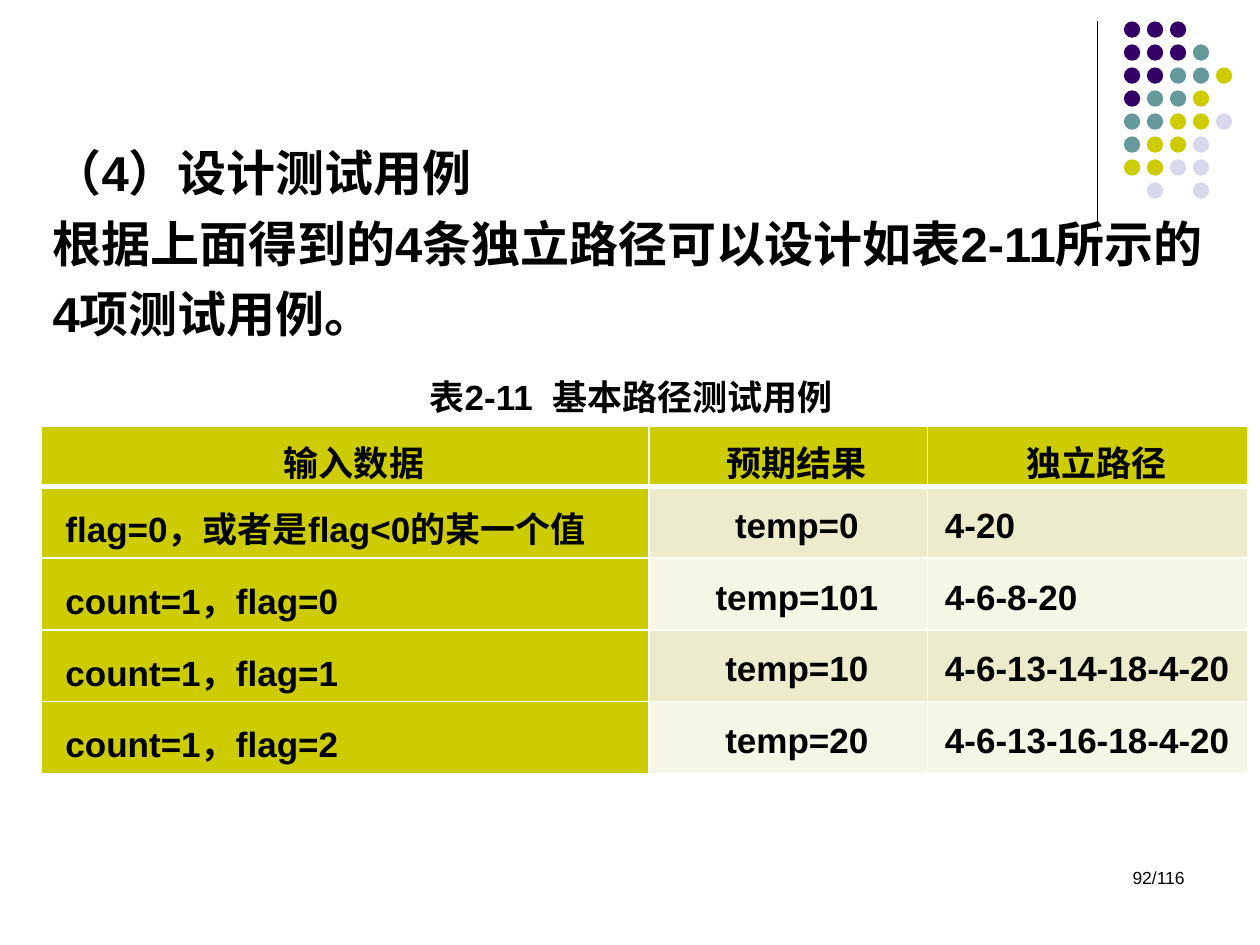
from lxml.etree import SubElement
from pptx import Presentation
from pptx.dml.color import RGBColor
from pptx.enum.shapes import MSO_CONNECTOR, MSO_SHAPE
from pptx.enum.text import MSO_ANCHOR, PP_ALIGN
from pptx.oxml.ns import qn
from pptx.util import Inches, Pt

FONT = "Arial"
BLACK, WHITE, OLIVE = "000000", "FFFFFF", "CCCC00"
BANDS = ["ECECCC", "F6F6E7"]
DOT_COLOURS = {"P": "330066", "T": "669999", "Y": OLIVE, "L": "D8D8EC"}
DOT_ROWS = ["PPP", "PPPT", "PPTTY", "PTTY", "TTYYL", "TYYL", "YYLL", ".L.L"]

INTRO = [
    "（4）设计测试用例",
    "根据上面得到的4条独立路径可以设计如表2-11所示的4项测试用例。",
]
CAPTION = "表2-11  基本路径测试用例"
TEST_CASES = [
    ["输入数据", "预期结果", "独立路径"],
    ["flag=0，或者是flag<0的某一个值", "temp=0", "4-20"],
    ["count=1，flag=0", "temp=101", "4-6-8-20"],
    ["count=1，flag=1", "temp=10", "4-6-13-14-18-4-20"],
    ["count=1，flag=2", "temp=20", "4-6-13-16-18-4-20"],
]
COLUMN_WIDTHS = [4.82, 2.21, 2.54]
ROW_HEIGHTS = [0.48] + [0.57] * 4
LEFT_INDENTS = {0: 0.12, 2: 0.07}
CENTRE_INDENT = 0.14


def colour(hex_string):
    return RGBColor.from_string(hex_string)


def write(para, text, size, bold=True, align=PP_ALIGN.LEFT, spacing=None):
    para.alignment = align
    para.line_spacing = spacing
    span = para.add_run()
    span.text = text
    span.font.name = FONT
    span.font.size = Pt(size)
    span.font.bold = bold
    span.font.color.rgb = colour(BLACK)


def add_text(page, left, top, width, height, lines, size, **style):
    box = page.shapes.add_textbox(
        Inches(left), Inches(top), Inches(width), Inches(height)
    )
    frame = box.text_frame
    frame.word_wrap = True
    for index, line in enumerate(lines):
        para = frame.add_paragraph() if index else frame.paragraphs[0]
        write(para, line, size, **style)


def add_dot_ornament(page, left, top, width, height):
    """Draw the vertical rule and the dot grid to its right."""
    rule = page.shapes.add_connector(
        MSO_CONNECTOR.STRAIGHT,
        Inches(left), Inches(top), Inches(left), Inches(top + height),
    )
    rule.line.color.rgb = colour(BLACK)
    rule.line.width = Pt(0.75)
    SubElement(rule._element.spPr, qn("a:effectLst"))

    diameter, gap = 0.13, 0.21
    pitch = (width - gap - diameter) / 4
    for row, pattern in enumerate(DOT_ROWS):
        for column, key in enumerate(pattern):
            if key not in DOT_COLOURS:
                continue
            dot = page.shapes.add_shape(
                MSO_SHAPE.OVAL,
                Inches(left + gap + column * pitch), Inches(top + row * pitch),
                Inches(diameter), Inches(diameter),
            )
            dot.shadow.inherit = False
            dot.fill.solid()
            dot.fill.fore_color.rgb = colour(DOT_COLOURS[key])
            dot.line.fill.background()


def set_borders(cell, top, bottom):
    """Give a cell white borders; top and bottom are widths in points."""
    properties = cell._tc.get_or_add_tcPr()
    for side, width in (("L", 1), ("R", 1), ("T", top), ("B", bottom)):
        line = SubElement(properties, qn(f"a:ln{side}"), w=str(Pt(width)))
        fill = SubElement(line, qn("a:solidFill"))
        SubElement(fill, qn("a:srgbClr"), val=WHITE)


def format_cell(cell, row, column, text):
    set_borders(cell, top=3 if row == 1 else 1, bottom=3 if row == 0 else 1)
    cell.fill.solid()
    plain = row == 0 or column == 0
    cell.fill.fore_color.rgb = colour(OLIVE if plain else BANDS[(row - 1) % 2])
    cell.vertical_anchor = MSO_ANCHOR.MIDDLE
    cell.margin_left = cell.margin_right = Inches(0.07)
    cell.margin_top = cell.margin_bottom = 0

    centred = row == 0 or column == 1
    indent = CENTRE_INDENT if centred else LEFT_INDENTS[column]
    para = cell.text_frame.paragraphs[0]
    para._p.get_or_add_pPr().set("indent", str(Inches(indent)))
    align = PP_ALIGN.CENTER if centred else PP_ALIGN.LEFT
    write(para, text, 20, align=align, spacing=1.2)


def add_test_case_table(page, left, top):
    table = page.shapes.add_table(
        len(TEST_CASES), len(COLUMN_WIDTHS), Inches(left), Inches(top),
        Inches(sum(COLUMN_WIDTHS)), Inches(sum(ROW_HEIGHTS)),
    ).table
    for column, width in zip(table.columns, COLUMN_WIDTHS):
        column.width = Inches(width)
    for row, height in zip(table.rows, ROW_HEIGHTS):
        row.height = Inches(height)
    for row, texts in enumerate(TEST_CASES):
        for column, text in enumerate(texts):
            format_cell(table.cell(row, column), row, column, text)


def main():
    deck = Presentation()
    deck.slide_width, deck.slide_height = Inches(10), Inches(7.5)
    page = deck.slides.add_slide(deck.slide_layouts[6])
    add_dot_ornament(page, 8.71, 0.17, 1.07, 1.66)
    add_text(page, 0.32, 0.99, 9.37, 2.36, INTRO, 28, spacing=1.2)
    add_test_case_table(page, 0.33, 3.38)
    add_text(page, 1.17, 2.93, 7.68, 0.44, [CAPTION], 20, align=PP_ALIGN.CENTER)
    add_text(page, 7.17, 6.83, 2.33, 0.5, ["92/116"], 10,
             bold=False, align=PP_ALIGN.RIGHT)
    deck.save("out.pptx")


if __name__ == "__main__":
    main()
